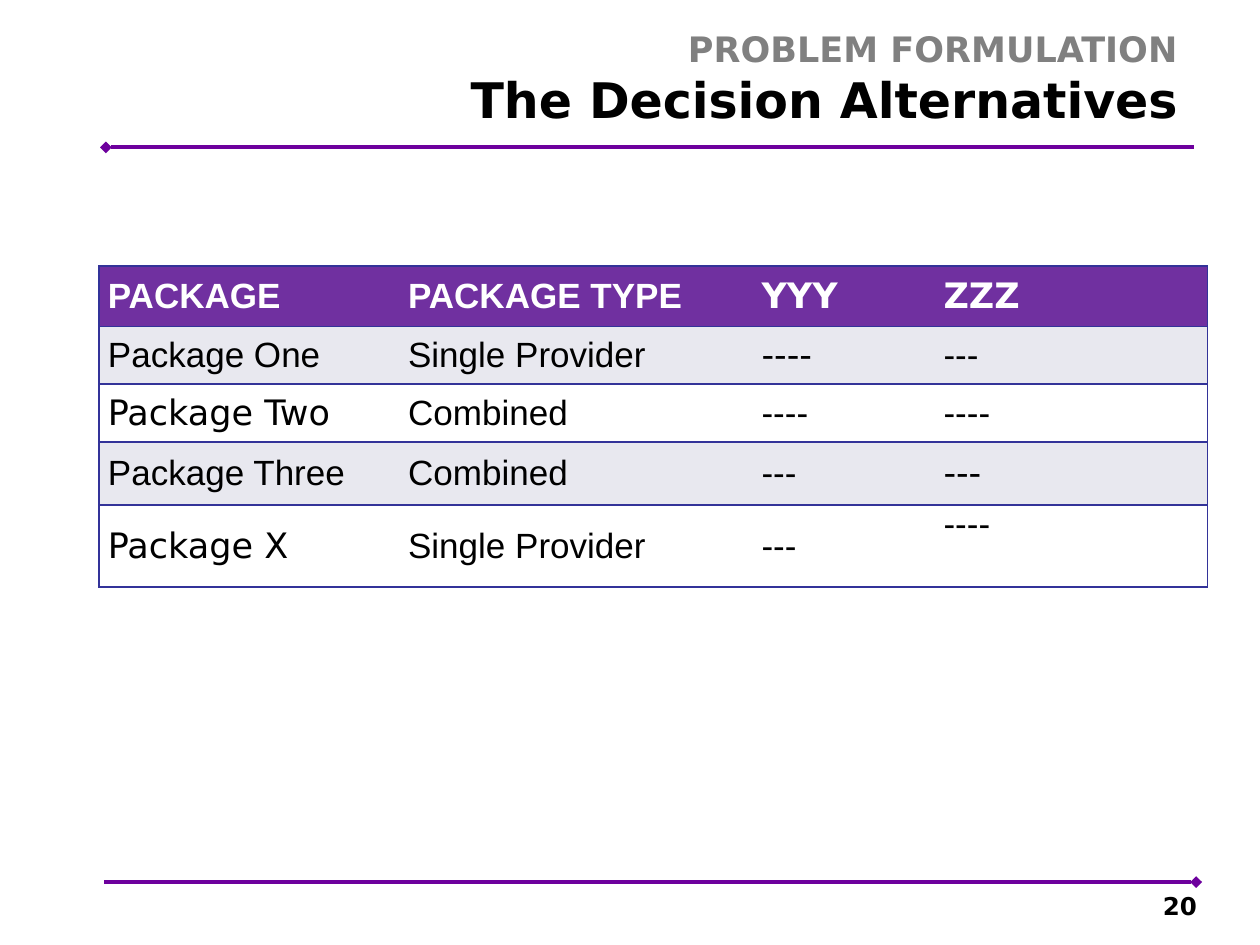
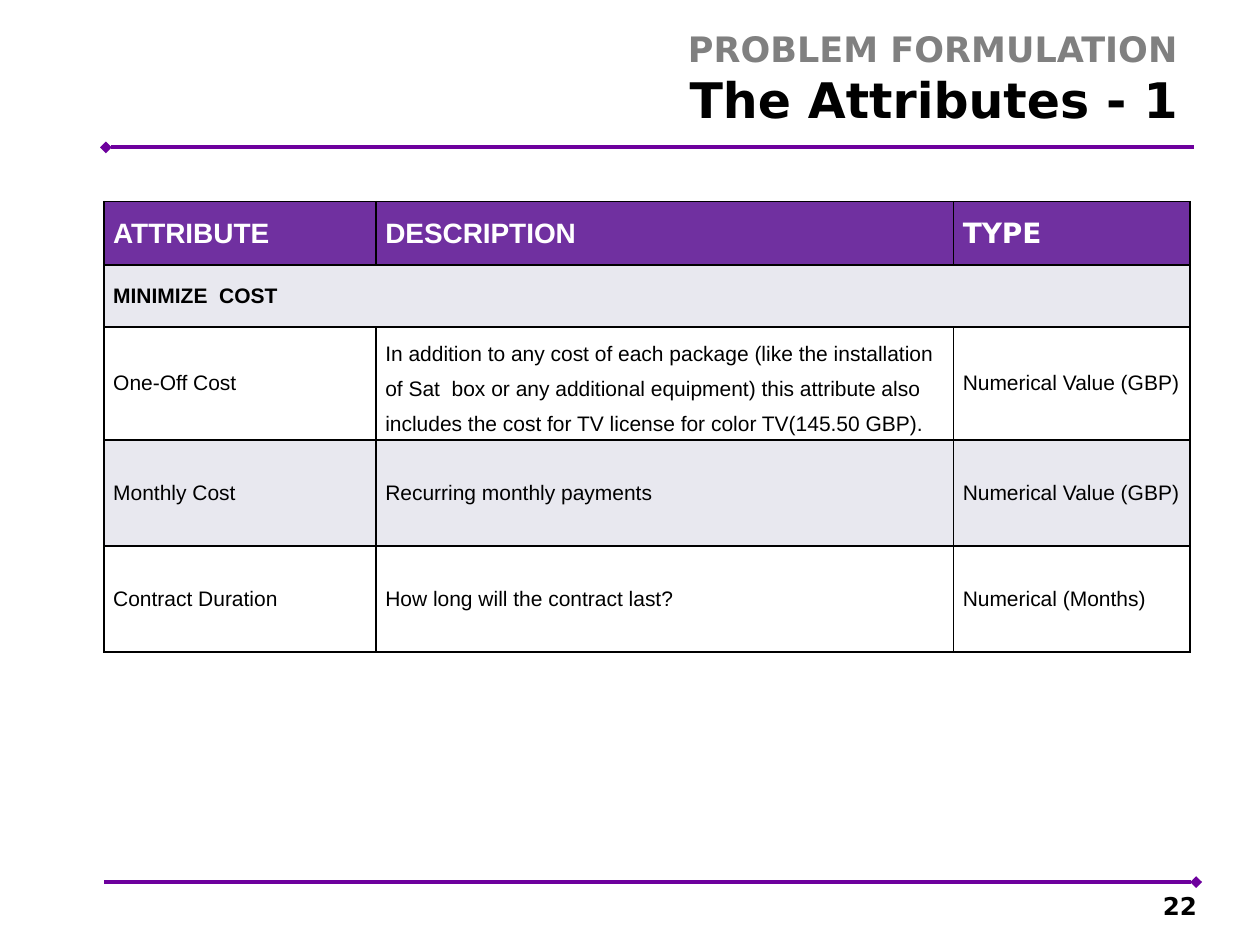
from dataclasses import dataclass

from pptx import Presentation
from pptx.dml.color import RGBColor
from pptx.enum.shapes import MSO_CONNECTOR
from pptx.enum.text import MSO_ANCHOR, PP_ALIGN
from pptx.oxml.ns import qn
from pptx.util import Pt
from lxml.etree import SubElement


@dataclass(frozen=True)
class Theme:
    rule: str = "6D009D"
    header: str = "7030A0"
    band: str = "E8E8EF"
    white: str = "FFFFFF"
    black: str = "000000"
    grey: str = "808080"
    navy: str = "333399"
    display_font: str = "DejaVu Sans"
    table_font: str = "Arial"
    kicker_size: int = 20
    title_size: int = 28
    number_size: int = 14


THEME = Theme()
TITLE_BOX = (190, 12.25, 490, 65)
NUMBER_BOX = (516, 508.5, 168, 21)


def add_run(paragraph, text, size, color, font=THEME.display_font, bold=True):
    run = paragraph.add_run()
    run.text = text
    run.font.name = font
    run.font.size = Pt(size)
    run.font.bold = bold
    run.font.color.rgb = RGBColor.from_string(color)


def add_text_box(slide, box, anchor, right_inset):
    """Add a right-aligned text box and return its paragraph."""
    frame = slide.shapes.add_textbox(*map(Pt, box)).text_frame
    frame.word_wrap = True
    frame.vertical_anchor = anchor
    frame.margin_right = Pt(right_inset)
    paragraph = frame.paragraphs[0]
    paragraph.alignment = PP_ALIGN.RIGHT
    return paragraph


def add_rule(slide, left, right, top, diamond_end):
    """Add a horizontal rule; diamond_end is headEnd (left) or tailEnd (right)."""
    connector = slide.shapes.add_connector(
        MSO_CONNECTOR.STRAIGHT, Pt(left), Pt(top), Pt(right), Pt(top))
    connector.line.color.rgb = RGBColor.from_string(THEME.rule)
    connector.line.width = Pt(2.25)
    properties = connector._element.spPr
    SubElement(properties.find(qn("a:ln")), qn(diamond_end), type="diamond")
    SubElement(properties, qn("a:effectLst"))


def add_frame(slide, title, number):
    """Title, rules and page number shared by every slide."""
    add_rule(slide, 60.5, 682.5, 84.25, "a:headEnd")
    add_rule(slide, 59.5, 683.5, 504, "a:tailEnd")

    paragraph = add_text_box(slide, TITLE_BOX, MSO_ANCHOR.TOP, 7.2)
    add_run(paragraph, "PROBLEM FORMULATION", THEME.kicker_size, THEME.grey)
    paragraph.add_line_break()
    add_run(paragraph, title, THEME.title_size, THEME.black)

    paragraph = add_text_box(slide, NUMBER_BOX, MSO_ANCHOR.BOTTOM, 0)
    add_run(paragraph, number, THEME.number_size, THEME.black)


def set_borders(cell, color, visible_sides):
    """Draw the named sides of a cell and clear the others."""
    properties = cell._tc.get_or_add_tcPr()
    for side in "LRTB":
        line = SubElement(properties, qn(f"a:ln{side}"), w=str(Pt(1)))
        if side in visible_sides:
            fill = SubElement(line, qn("a:solidFill"))
            SubElement(fill, qn("a:srgbClr"), val=color)
        else:
            SubElement(line, qn("a:noFill"))


def add_banded_table(slide, origin, widths, heights, rows, sizes, border,
                     inner_verticals, display_cells):
    """Add a table with a purple header; display_cells use the display font."""
    header_size, body_size = sizes
    table = slide.shapes.add_table(
        len(rows), len(widths), Pt(origin[0]), Pt(origin[1]),
        Pt(sum(widths)), Pt(sum(heights))).table
    table.first_row = table.horz_banding = False
    for column, width in zip(table.columns, widths):
        column.width = Pt(width)
    for row, height in zip(table.rows, heights):
        row.height = Pt(height)

    last_column = len(widths) - 1
    for r, texts in enumerate(rows):
        header = r == 0
        fill = THEME.header if header else THEME.band if r % 2 else THEME.white
        for c in range(len(widths)):
            cell = table.cell(r, c)
            sides = "TB"
            sides += "L" if inner_verticals or c == 0 else ""
            sides += "R" if inner_verticals or c == last_column else ""
            set_borders(cell, border, sides)
            cell.fill.solid()
            cell.fill.fore_color.rgb = RGBColor.from_string(fill)
            cell.vertical_anchor = MSO_ANCHOR.MIDDLE
            cell.margin_left = cell.margin_right = Pt(5.2)
            cell.margin_top = cell.margin_bottom = 0
            if c < len(texts):
                font = THEME.display_font if (r, c) in display_cells else THEME.table_font
                section = len(texts) == 1
                add_run(cell.text_frame.paragraphs[0], texts[c],
                        header_size if header else body_size,
                        THEME.white if header else THEME.black,
                        font, header or section)
        # A row with a single text is a section heading across the table
        if len(texts) == 1:
            table.cell(r, 0).merge(table.cell(r, last_column))
    return table


def add_alternatives(slide):
    rows = [
        ("PACKAGE", "PACKAGE TYPE", "YYY", "ZZZ"),
        ("Package One", "Single Provider", "----", "---"),
        ("Package Two", "Combined", "----", "----"),
        ("Package Three", "Combined", "---", "---"),
        ("Package X", "Single Provider", "---", "----"),
    ]
    table = add_banded_table(
        slide, (56.5, 152), (171.5, 202, 104, 156), (34.5, 33, 33, 36, 47),
        rows, (20, 20), THEME.navy, False,
        {(0, 2), (0, 3), (1, 2), (2, 0), (3, 3), (4, 0)})
    table.cell(4, 3).vertical_anchor = MSO_ANCHOR.TOP


def add_attributes(slide):
    rows = [
        ("ATTRIBUTE", "DESCRIPTION", "TYPE"),
        ("MINIMIZE  COST",),
        ("One-Off Cost",
         "In addition to any cost of each package (like the installation of "
         "Sat  box or any additional equipment) this attribute also includes "
         "the cost for TV license for color TV(145.50 GBP).",
         "Numerical Value (GBP)"),
        ("Monthly Cost", "Recurring monthly payments", "Numerical Value (GBP)"),
        ("Contract Duration", "How long will the contract last?",
         "Numerical (Months)"),
    ]
    table = add_banded_table(
        slide, (59.5, 115.25), (155.5, 330, 135), (36.25, 35.25, 60.5, 60.5, 60.5),
        rows, (16, 12), THEME.black, True, {(0, 2)})
    table.cell(2, 1).text_frame.paragraphs[0].line_spacing = 1.5


def main():
    presentation = Presentation()
    presentation.slide_width, presentation.slide_height = Pt(720), Pt(540)
    blank = presentation.slide_layouts[6]
    for title, number, add_content in (
            ("The Decision Alternatives", "20", add_alternatives),
            ("The Attributes - 1", "22", add_attributes)):
        slide = presentation.slides.add_slide(blank)
        add_frame(slide, title, number)
        add_content(slide)
    presentation.save("out.pptx")


if __name__ == "__main__":
    main()
